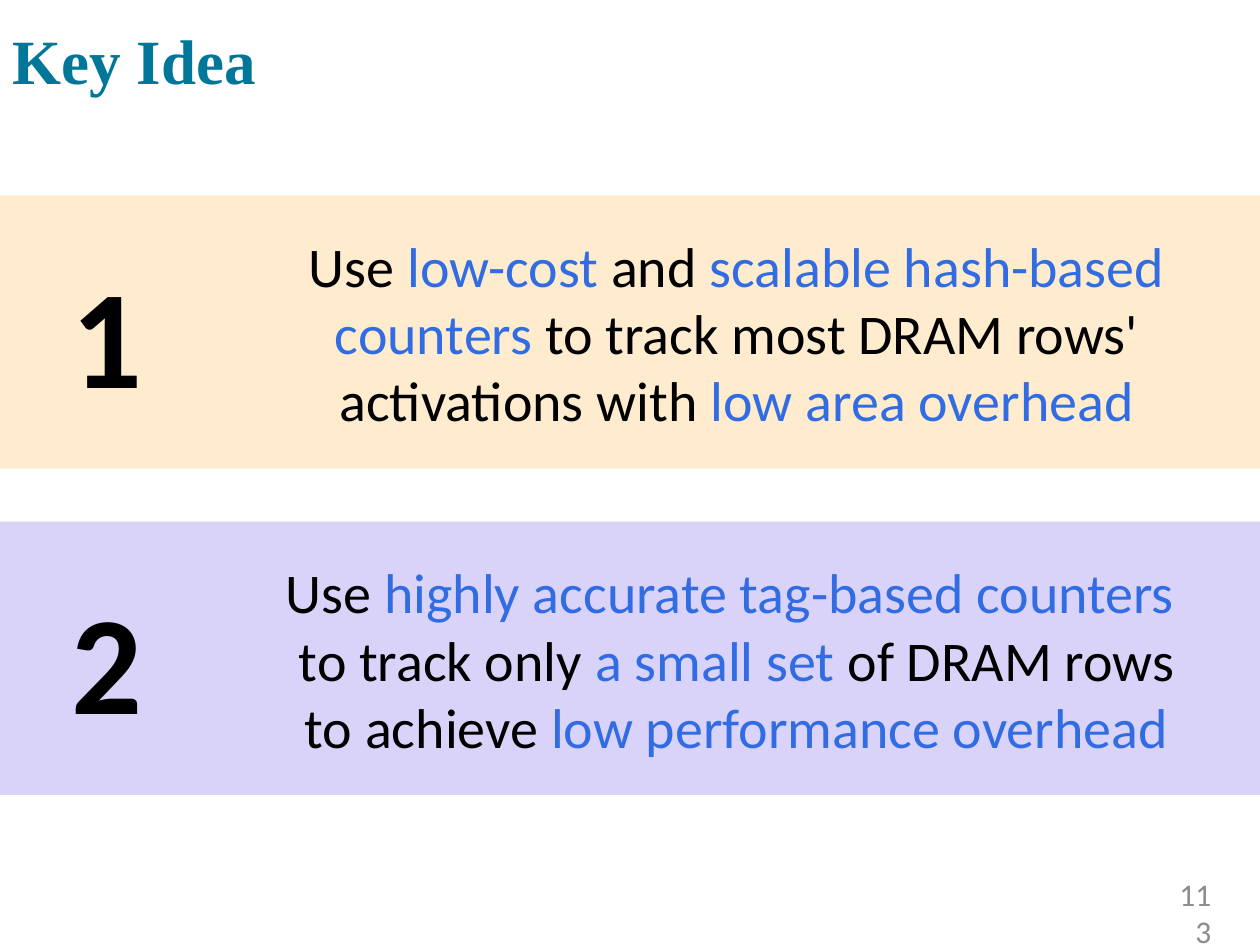
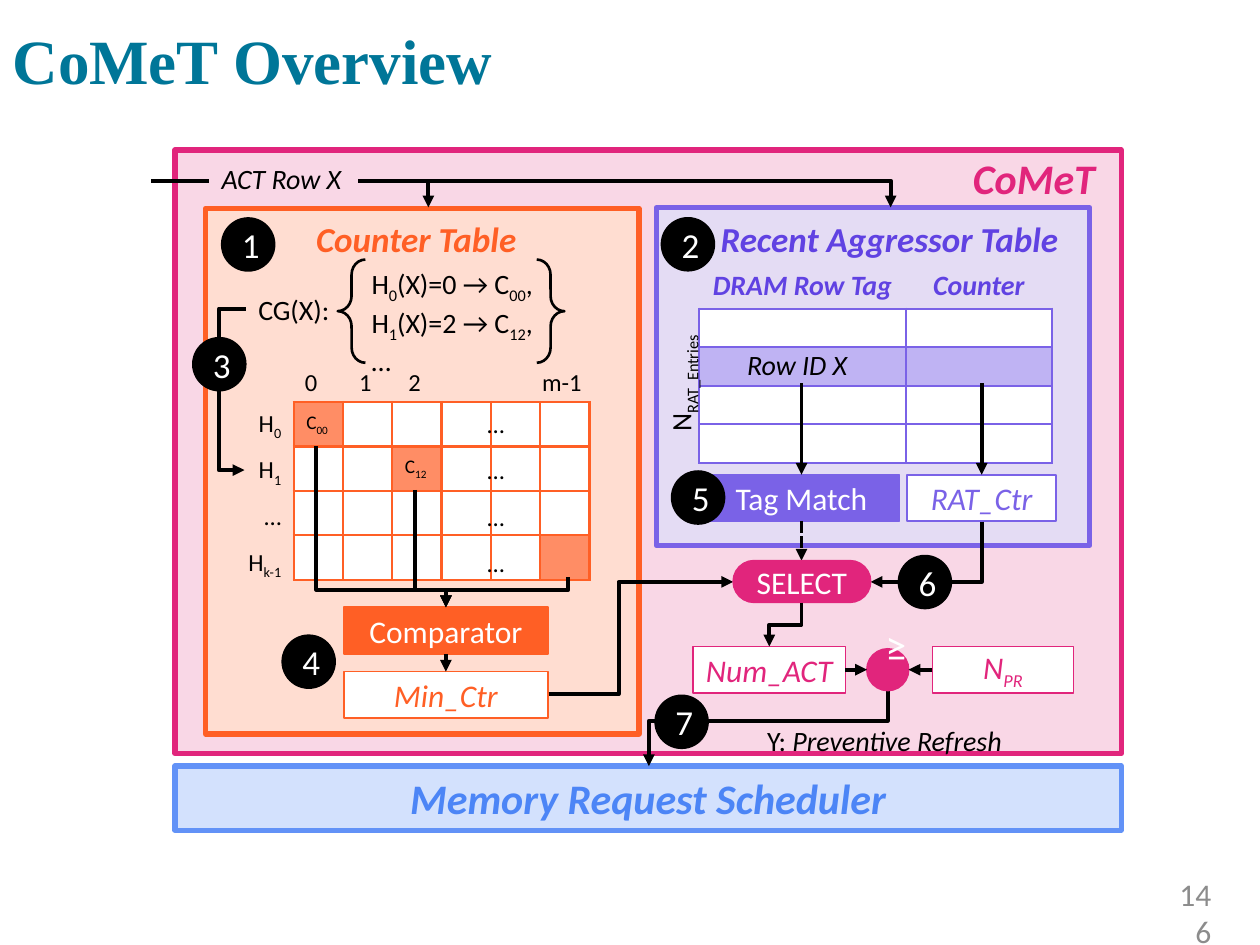
from dataclasses import dataclass

from lxml import etree
from pptx import Presentation
from pptx.dml.color import RGBColor
from pptx.enum.dml import MSO_LINE
from pptx.enum.shapes import MSO_CONNECTOR, MSO_SHAPE
from pptx.enum.text import MSO_ANCHOR, PP_ALIGN
from pptx.oxml.ns import qn
from pptx.util import Pt

LEFT, CENTER, RIGHT = PP_ALIGN.LEFT, PP_ALIGN.CENTER, PP_ALIGN.RIGHT
TOP, MIDDLE = MSO_ANCHOR.TOP, MSO_ANCHOR.MIDDLE
RECT, OVAL, PILL = MSO_SHAPE.RECTANGLE, MSO_SHAPE.OVAL, MSO_SHAPE.ROUNDED_RECTANGLE
BRACE = MSO_SHAPE.LEFT_BRACE
STRAIGHT, ELBOW = MSO_CONNECTOR.STRAIGHT, MSO_CONNECTOR.ELBOW
DASH = MSO_LINE.SQUARE_DOT

BODY_FONT, TITLE_FONT = "Calibri", "Times New Roman"
NO_GRID_STYLE = "{2D5ABB26-0587-4C30-8999-92F81FD0307C}"
BOX_H = 26.6
BADGE = 30.2
COLORS = {
    "title": "007698", "page": "8C8C8C", "black": "000000", "white": "FFFFFF",
    "accent": "316CE3", "cream": "FFEBCD", "lilac": "DAD3F9",
    "pink": "E1257C", "pink_pale": "F9D7E6",
    "orange": "FF5F25", "orange_mid": "FF8D65", "orange_pale": "FFDDD1",
    "violet": "7A62E7", "violet_deep": "6042E2", "violet_mid": "BFB3F3", "violet_pale": "E4DCF4",
    "blue": "6292F7", "blue_deep": "4C85F6", "blue_pale": "D3E1FD",
}


def rgb(name):
    return RGBColor.from_string(COLORS[name])


# Styles for the marked pieces of a text: "plain|marked|plain"
def subscript(font):
    font._element.set("baseline", "-25000")


def accent(font):
    font.color.rgb = rgb("accent")


def italic(font):
    font.italic = True


def write(frame, text, size, color="black", align=LEFT, bold=None, slant=None, mark=subscript):
    """Fill a frame from a paragraph or a list of them."""
    for i, line in enumerate([text] if isinstance(text, str) else text):
        paragraph = frame.add_paragraph() if i else frame.paragraphs[0]
        paragraph.alignment = align
        font = paragraph.font
        font.name, font.size, font.bold, font.italic = BODY_FONT, Pt(size), bold, slant
        font.color.rgb = rgb(color)
        for j, piece in enumerate(line.split("|")):
            for k, part in enumerate(piece.split("\n")):
                if k:
                    paragraph.add_line_break()
                if part:
                    run = paragraph.add_run()
                    run.text = part
                    if j % 2:
                        mark(run.font)


def border(cell, color, sides):
    for side in sides:
        line = etree.SubElement(cell._tc.get_or_add_tcPr(), qn(f"a:ln{side}"), w=str(Pt(1.5)))
        fill = etree.SubElement(line, qn("a:solidFill"))
        etree.SubElement(fill, qn("a:srgbClr"), val=COLORS[color])


@dataclass
class Region:
    """Places parts relative to its own top left corner."""
    slide: object
    left: float
    top: float

    def place(self, x, y, w, h):
        return Pt(self.left + x), Pt(self.top + y), Pt(w), Pt(h)

    def label(self, box, text, size, color="black", anchor=TOP, rotation=0, **style):
        holder = self.slide.shapes.add_textbox(*self.place(*box))
        holder.rotation = rotation
        holder.text_frame.word_wrap = True
        holder.text_frame.vertical_anchor = anchor
        write(holder.text_frame, text, size, color, **style)

    def block(self, box, fill=None, line=None, weight=1, text="", size=18, color="white",
              kind=RECT, inset=0, align=CENTER, **style):
        shape = self.slide.shapes.add_shape(kind, *self.place(*box))
        shape.shadow.inherit = False
        for part, name in ((shape.fill, fill), (shape.line.fill, line)):
            if name:
                part.solid()
                part.fore_color.rgb = rgb(name)
            else:
                part.background()
        if line:
            shape.line.width = Pt(weight)
        if text:
            frame = shape.text_frame
            frame.word_wrap, frame.vertical_anchor = True, MIDDLE
            frame.margin_left = frame.margin_right = Pt(inset)
            write(frame, text, size, color, align, **style)
        return shape

    def badge(self, x, y, number):
        self.block((x, y, BADGE, BADGE), "black", "black", text=number, size=20,
                   kind=OVAL, inset=7.2)

    def connect(self, kind, start, end, dash=None):
        (x1, y1), (x2, y2) = start, end
        arrow = self.slide.shapes.add_connector(
            kind, *self.place(x1, y1, self.left + x2, self.top + y2))
        arrow.line.color.rgb = rgb("black")
        arrow.line.width = Pt(2.25)
        if dash:
            arrow.line.dash_style = dash
        etree.SubElement(arrow.line._get_or_add_ln(), qn("a:tailEnd"), type="triangle")
        etree.SubElement(arrow._element.spPr, qn("a:effectLst"))
        return arrow

    def arrow(self, start, end, dash=None):
        self.connect(STRAIGHT, start, end, dash)

    def elbow(self, start, end, bend=None, down=False):
        """Bend at the x given, or at the y given when leaving downwards; None bends once."""
        (x1, y1), (x2, y2) = start, end
        if down:
            # A downward elbow is a sideways one, turned about its centre
            mid_x, mid_y, half_w, half_h = (x1 + x2) / 2, (y1 + y2) / 2, (y2 - y1) / 2, abs(x2 - x1) / 2
            arrow = self.connect(ELBOW, (mid_x - half_w, mid_y - half_h),
                                 (mid_x + half_w, mid_y + half_h))
            frame = arrow._element.spPr.find(qn("a:xfrm"))
            frame.set("rot", "5400000" if x2 < x1 else "16200000")
            if x2 > x1:
                frame.set("flipH", "1")
        else:
            arrow = self.connect(ELBOW, start, end)
        geometry = arrow._element.spPr.find(qn("a:prstGeom"))
        if bend is None:
            geometry.set("prst", "bentConnector2")
            return
        ratio = (bend - y1) / (y2 - y1) if down else (bend - x1) / (x2 - x1)
        guides = geometry.find(qn("a:avLst"))
        etree.SubElement(guides, qn("a:gd"), name="adj1", fmla=f"val {round(ratio * 100000)}")

    def grid(self, x, y, widths, heights):
        size = self.place(x, y, sum(widths), sum(heights))
        table = self.slide.shapes.add_table(len(heights), len(widths), *size).table
        table.first_row = table.horz_banding = False
        table._tbl.tblPr.find(qn("a:tableStyleId")).text = NO_GRID_STYLE
        for column, width in zip(table.columns, widths):
            column.width = Pt(width)
        for row, height in zip(table.rows, heights):
            row.height = Pt(height)
        for cell in table.iter_cells():
            cell.margin_left = cell.margin_right = cell.margin_top = cell.margin_bottom = 0
            cell.vertical_anchor = MIDDLE
            cell.text_frame.paragraphs[0].font.size = Pt(11)
        return table


def paint(cell, name):
    cell.fill.solid()
    cell.fill.fore_color.rgb = rgb(name)


def titled_slide(prs, heading, page):
    slide = prs.slides.add_slide(prs.slide_layouts[5])
    title = slide.shapes.title
    title.left, title.top, title.width, title.height = 0, 0, Pt(720), Pt(73.5)
    title.text_frame.text = heading
    title.text_frame.vertical_anchor = MIDDLE
    paragraph = title.text_frame.paragraphs[0]
    paragraph.alignment, paragraph.line_spacing = LEFT, 0.9
    font = paragraph.font
    font.name, font.size, font.bold = TITLE_FONT, Pt(36), True
    font.color.rgb = rgb("title")
    Region(slide, 0, 0).label((661, 513.4, 38.2, 15.8), page, 18, "page", MIDDLE, align=RIGHT)
    return slide


def idea_band(slide, top, color, number, idea):
    band = Region(slide, 0, top)
    band.block((0, 0, 720, 156.2), color)
    band.label((-25.5, 26, 173.5, 104.4), number, 80, anchor=MIDDLE, align=CENTER, bold=True)
    band.label((123, 16.4, 596, 123.8), idea, 32, anchor=MIDDLE, align=CENTER, mark=accent)


def aggressor_table(slide, left, top):
    area = Region(slide, left, top)
    area.block((0, 0, 247.7, 193), "violet_pale", "violet", 3)
    area.label((8.8, 2.2, 249, 31.7), "Recent Aggressor Table", 20, "violet_deep",
               align=CENTER, bold=True, slant=True)
    # Header row and four entries, the second one matched
    table = area.grid(24.6, 31, [118, 83.6], [26.8] + [22] * 4)
    for col, heading in enumerate(("DRAM Row Tag", "Counter")):
        write(table.cell(0, col).text_frame, heading, 16, "violet_deep", CENTER, True, True)
        border(table.cell(0, col), "violet", "B")
        for row in range(1, 5):
            border(table.cell(row, col), "violet", "LRTB")
            paint(table.cell(row, col), "violet_mid" if row == 2 else "white")
    area.label((-27.2, 93.6, 82, BOX_H), "N|RAT_Entries", 16, rotation=270, align=RIGHT)
    area.label((44.8, 76.3, 85, BOX_H), "Row ID X", 16, anchor=MIDDLE, slant=True)
    # Outputs of the table
    area.block((26.8, 152.6, 112.3, BOX_H), "violet", "violet", text="Tag Match")
    area.block((143.4, 152.6, 85, BOX_H), "white", "violet", text="RAT_Ctr",
               color="violet", slant=True)
    for x in (83, 186):
        area.arrow((x, 100.2), (x, 152.6))
    area.badge(3, 5.8, "2")
    area.badge(8.8, 150.5, "5")


def counter_table(slide, left, top):
    area = Region(slide, left, top)
    area.block((0, 0, 247.7, 300.4), "orange_pale", "orange", 3)
    area.label((56, 2, 140, 31.7), "Counter Table", 20, "orange", bold=True, slant=True)
    # Counters; the fourth and fifth columns share one open cell
    table = area.grid(50.3, 110.7, [28.2] * 6, [25.4] * 4)
    open_sides = {3: "LTB", 4: "RTB"}
    hits = {(0, 0): "C|00|", (1, 2): "C|12|", (3, 5): ""}
    for row in range(4):
        for col in range(6):
            cell = table.cell(row, col)
            border(cell, "orange", open_sides.get(col, "LRTB"))
            paint(cell, "orange_mid" if (row, col) in hits else "white")
            if hits.get((row, col)):
                cell.margin_left = Pt(7.2)
                write(cell.text_frame, hits[row, col], 11)
    for row, name in enumerate(("H|0", "H|1", "…", "H|k-1")):
        y = 110.7 + 26.4 * row
        area.label((5, y, 45.3, 24.5), name, 14, align=RIGHT)
        area.label((140.3, y + 0.6, 37.4, 24.5), "…", 14, align=RIGHT)
    for middle, name in ((60.3, "0"), (91.3, "1"), (119.4, "2"), (203.6, "m-1")):
        area.label((middle - 22, 87, 44, 24.5), name, 14, align=CENTER)
    # Counter group of row X
    area.label((23, 44.4, 59.8, BOX_H), "CG(X):", 16)
    area.label((87.7, 30, 112, 85), ["H|0|(X)=0 → C|00|,", "H|1|(X)=2 → C|12|,", "…"], 16)
    for x, turn in ((75.5, 0), (189.2, 180)):
        brace = area.block((x, 29.3, 15.8, 59), line="black", weight=1.5, kind=BRACE)
        brace.adjustments[0] = 0.548
        brace.rotation = turn
    area.elbow((22.9, 57.4), (22.2, 149.6), bend=7.8)
    # Minimum of the counters
    area.block((79, 228, 116.6, BOX_H), "orange", "orange", text="Comparator")
    area.block((79, 264.8, 116.6, BOX_H), "white", "orange", text="Min_Ctr",
               color="orange", slant=True)
    for start in ((63.2, 136), (119.4, 161), (207.2, 210.8)):
        area.elbow(start, (137.3, 228), bend=218, down=True)
    area.arrow((137.3, 254.6), (137.3, 264.8))
    area.badge(9.2, 5.6, "1")
    area.badge(-7.3, 74, "3")
    area.badge(43.8, 244, "4")


def refresh_decision(slide, left, top):
    area = Region(slide, left, top)
    # Arrows from the two tables, and to the scheduler
    area.arrow((62, -22.4), (62, 0.4), DASH)
    area.elbow((165, -22), (101.5, 12.5), down=True)
    area.elbow((-82.4, 76.7), (23, 12.5), bend=-42.5)
    area.elbow((111.2, 75), (-25.2, 117.8), bend=92, down=True)
    # Comparison with the threshold
    select = area.block((23, 0.4, 78.5, 23.8), "pink", "pink", text="SELECT", kind=PILL)
    select.adjustments[0] = 0.5
    for x, w, name in ((0, 87.1, "Num_ACT"), (136.8, 80.6, "N|PR")):
        area.block((x, 49.4, w, BOX_H), "white", "pink", text=name, color="pink", slant=True)
    area.block((99.4, 50.8, 23.8, 23.8), "pink", "pink", text="≥ ", size=24, kind=OVAL, inset=7.2)
    area.elbow((62, 24.4), (43.6, 49.4), bend=37, down=True)
    area.arrow((87.1, 62.7), (99.4, 62.7))
    area.arrow((136.8, 62.7), (123.2, 62.7))
    area.label((35.3, 89.7, 152, BOX_H), "Y: |Preventive Refresh", 16, mark=italic)
    area.badge(117.4, -2.5, "6")
    area.badge(-21.6, 77.4, "7")


def overview(slide, left, top):
    area = Region(slide, left, top)
    area.block((0, 0, 540.7, 344.9), "pink_pale", "pink", 3)
    area.label((0, -2.2, 532.8, 36), "CoMeT", 24, "pink", align=RIGHT, bold=True, slant=True)
    area.block((0, 352, 540.7, 36.7), "blue_pale", "blue", 3, "Memory Request Scheduler",
               24, "blue_deep", bold=True, slant=True)
    aggressor_table(slide, left + 275, top + 33)
    counter_table(slide, left + 17.5, top + 33.3)
    refresh_decision(slide, left + 296, top + 234.3)
    # Activation signal into both tables
    for x in (144.8, 409):
        area.elbow((-13.6, 17.6), (x, 32.8), bend=x)
    area.block((19.5, 2.9, 85, BOX_H), "pink_pale", text="ACT Row X", size=16,
               color="black", inset=7.2, align=LEFT, slant=True)


def main():
    prs = Presentation()
    prs.slide_width, prs.slide_height = Pt(720), Pt(540)
    key_idea = titled_slide(prs, "Key Idea", "113")
    idea_band(key_idea, 111.6, "cream", "1",
              "Use |low-cost |and |scalable hash-based counters| to track most DRAM rows' "
              "activations with |low area overhead")
    idea_band(key_idea, 298.1, "lilac", "2",
              "Use |highly accurate tag-based counters \n|to track only |a small set |"
              "of DRAM rows\nto achieve |low performance overhead")
    overview(titled_slide(prs, "CoMeT Overview", "146"), 100, 85.7)
    prs.save("out.pptx")


if __name__ == "__main__":
    main()
